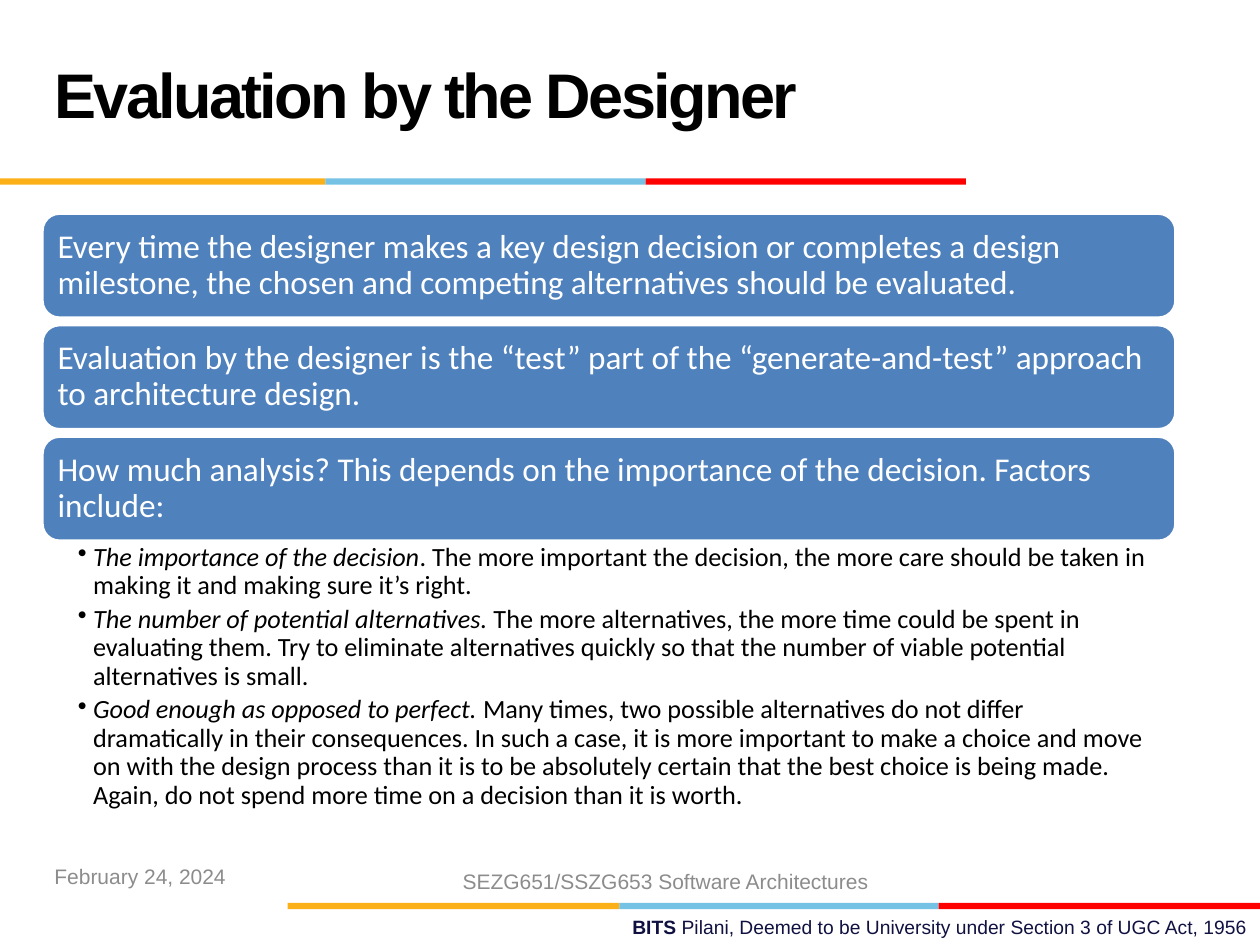
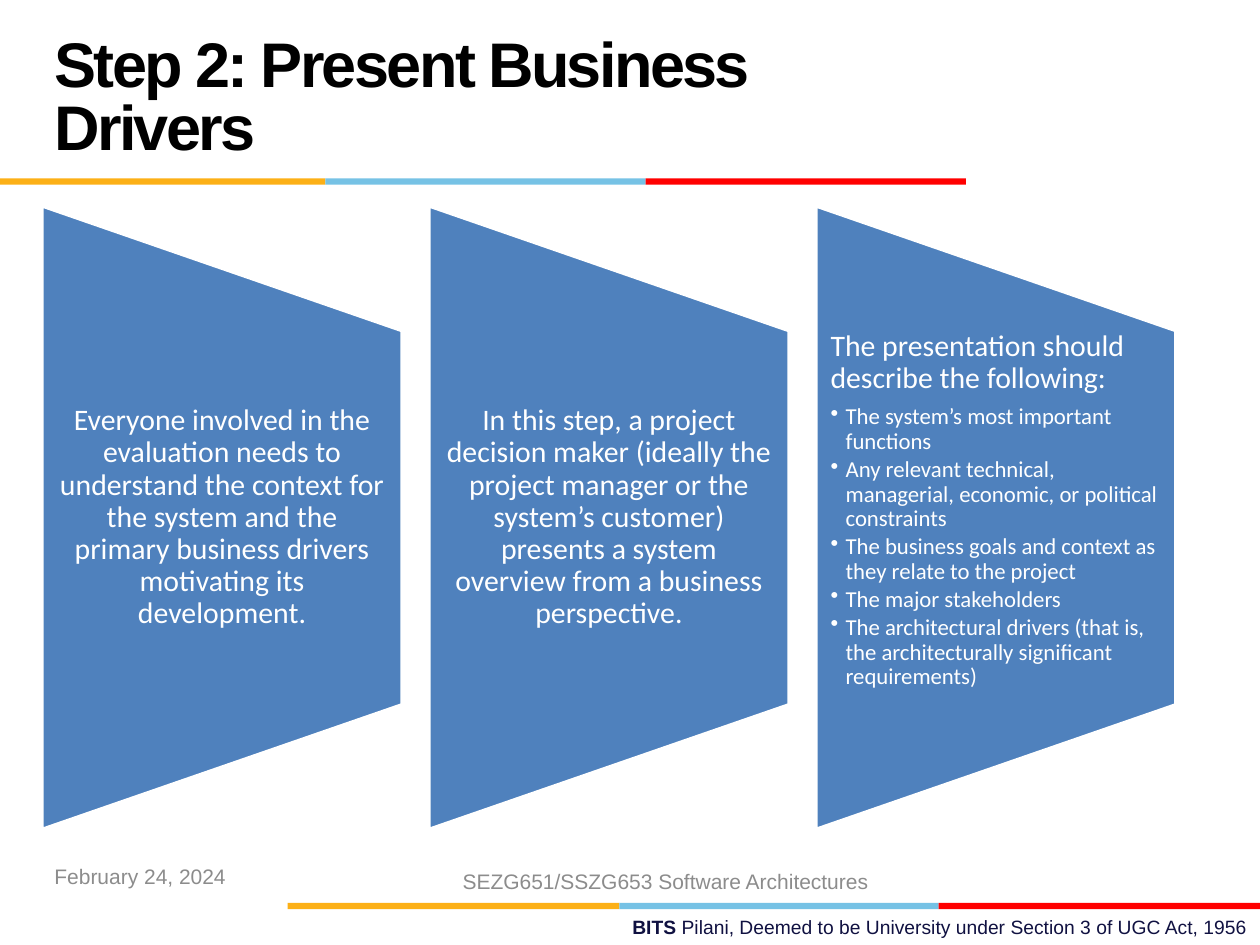
from dataclasses import dataclass

from lxml import etree
from pptx import Presentation
from pptx.dml.color import RGBColor
from pptx.enum.shapes import MSO_SHAPE
from pptx.enum.text import MSO_ANCHOR, PP_ALIGN
from pptx.oxml.ns import qn
from pptx.util import Inches, Pt

RECTANGLE = MSO_SHAPE.RECTANGLE
ROUNDED = MSO_SHAPE.ROUNDED_RECTANGLE
TRAPEZOID = MSO_SHAPE.FLOWCHART_MANUAL_OPERATION
TOP, MIDDLE = MSO_ANCHOR.TOP, MSO_ANCHOR.MIDDLE
LEFT, CENTER, RIGHT = PP_ALIGN.LEFT, PP_ALIGN.CENTER, PP_ALIGN.RIGHT

COLUMNS, ROWS = 120, 90
MARGIN = 4
CONTENT_WIDTH = 108


@dataclass(frozen=True)
class Theme:
    """Colours, fonts and type sizes of the presentation."""

    amber: str = "FCB017"
    sky: str = "76C2E5"
    red: str = "FF0000"
    panel: str = "4F81BD"
    white: str = "FFFFFF"
    black: str = "000000"
    grey: str = "8C8C8C"
    navy: str = "101141"
    heading_font: str = "Arial"
    body_font: str = "Calibri"
    title_size: int = 36
    card_size: int = 19
    panel_size: int = 17
    factor_size: int = 15
    item_size: int = 13
    date_size: int = 12
    footer_size: int = 11


@dataclass(frozen=True)
class TextStyle:
    """Look of one paragraph."""

    size: int
    color: str
    font: str = Theme.body_font
    align: PP_ALIGN = LEFT
    leading: object = None
    space_after: float = 0
    bullet: bool = False
    bold: bool = False
    tracking: int = 0


class Deck:
    """Draws styled elements on the current slide."""

    def __init__(self, theme):
        """Open a presentation of 10 by 7.5 inches."""
        self.theme = theme
        self.presentation = Presentation()
        self.presentation.slide_width = Inches(10)
        self.presentation.slide_height = Inches(7.5)
        self.slide = None

    def columns(self, count):
        """Convert grid columns to a length."""
        return round(self.presentation.slide_width * count / COLUMNS)

    def rows(self, count):
        """Convert grid rows to a length."""
        return round(self.presentation.slide_height * count / ROWS)

    def frame(self, column, row, width, height):
        """Convert a grid area to slide lengths."""
        return (self.columns(column), self.rows(row),
                self.columns(width), self.rows(height))

    def shape(self, kind, area, color, outlined=False):
        """Add a flat preset shape."""
        shape = self.slide.shapes.add_shape(kind, *self.frame(*area))
        shape.shadow.inherit = False
        shape.fill.solid()
        shape.fill.fore_color.rgb = RGBColor.from_string(color)
        if outlined:
            shape.line.color.rgb = RGBColor.from_string(self.theme.white)
            shape.line.width = Pt(2)
        else:
            shape.line.fill.background()
        return shape

    def fill_text(self, shape, paragraphs, insets=(1.2, 0.6, 1.2, 0.6), anchor=MIDDLE):
        """Fill a shape with pairs of style and runs."""
        frame = shape.text_frame
        frame.word_wrap = True
        frame.vertical_anchor = anchor
        (frame.margin_left, frame.margin_top,
         frame.margin_right, frame.margin_bottom) = map(self.columns, insets)
        for index, (style, runs) in enumerate(paragraphs):
            paragraph = frame.add_paragraph() if index else frame.paragraphs[0]
            self.style_paragraph(paragraph, style)
            for text, emphasis in runs:
                self.add_run(paragraph, text, style, emphasis)

    def style_paragraph(self, paragraph, style):
        """Apply bullet, alignment and spacing."""
        if style.bullet:
            properties = paragraph._p.get_or_add_pPr()
            indent = Inches(0.12)
            properties.set("marL", str(indent))
            properties.set("indent", str(-indent))
            properties.set("lvl", "1")
            etree.SubElement(properties, qn("a:buChar")).set("char", "•")
        paragraph.alignment = style.align
        if style.leading:
            paragraph.line_spacing = style.leading
        if style.space_after:
            paragraph.space_after = Pt(style.size * style.space_after)

    def add_run(self, paragraph, text, style, emphasis):
        """Add one run, with optional bold or italic emphasis."""
        run = paragraph.add_run()
        run.text = text
        run.font.name = style.font
        run.font.size = Pt(style.size)
        run.font.color.rgb = RGBColor.from_string(style.color)
        run.font.bold = style.bold or emphasis == "bold"
        run.font.italic = emphasis == "italic"
        if style.tracking:
            run._r.get_or_add_rPr().set("spc", str(style.tracking))

    def text(self, area, paragraphs, **layout):
        """Add a text box."""
        box = self.slide.shapes.add_textbox(*self.frame(*area))
        self.fill_text(box, paragraphs, **layout)

    def stripe(self, row, edges):
        """Add a three-colour stripe between column edges."""
        colors = (self.theme.amber, self.theme.sky, self.theme.red)
        for color, start, end in zip(colors, edges, edges[1:]):
            self.shape(RECTANGLE, (start, row, end - start, 0.6), color)

    def card(self, area, text):
        """Add a rounded card with a statement."""
        style = TextStyle(self.theme.card_size, self.theme.white, leading=0.9)
        card = self.shape(ROUNDED, area, self.theme.panel, outlined=True)
        self.fill_text(card, [(style, [(text, None)])], insets=(1, 1, 1, 1))

    def panel(self, area, paragraphs, anchor):
        """Add a trapezoid narrowing to the right, with text over its middle."""
        column, row, width, height = area
        turned = (column + (width - height) / 2, row + (height - width) / 2,
                  height, width)
        self.shape(TRAPEZOID, turned, self.theme.panel, outlined=True).rotation = 270
        self.text((column, row + height / 5, width, height * 3 / 5), paragraphs,
                  insets=(1.4, 0, 1.4, 0), anchor=anchor)

    def new_slide(self, title):
        """Start a slide with title, stripes and footer."""
        theme = self.theme
        blank = self.presentation.slide_layouts[6]
        self.slide = self.presentation.slides.add_slide(blank)
        heading = TextStyle(theme.title_size, theme.black, theme.heading_font,
                            leading=Pt(theme.title_size), bold=True, tracking=-150)
        date = TextStyle(theme.date_size, theme.grey, theme.heading_font)
        course = TextStyle(theme.date_size, theme.grey, theme.heading_font, CENTER)
        footer = TextStyle(theme.footer_size, theme.navy, theme.heading_font, RIGHT)
        self.stripe(17, (0, 31, 61.5, 92))
        self.stripe(86, (27.4, 59, 89.4, COLUMNS))
        self.text((43, 86.5, 77, 3.5), [(footer, [
            ("BITS ", "bold"),
            ("Pilani, Deemed to be University under Section 3 of UGC Act, 1956", None),
        ])])
        self.text((MARGIN, 2, 83, 15), [(heading, [(title, None)])])
        self.text((MARGIN, 81, 28, 4.8), [(date, [("February 24, 2024", None)])])
        self.text((41.8, 81.5, 43.2, 4.8),
                  [(course, [("SEZG651/SSZG653 Software Architectures", None)])])


STATEMENTS = (
    "Every time the designer makes a key design decision or completes a design "
    "milestone, the chosen and competing alternatives should be evaluated.",
    "Evaluation by the designer is the “test” part of the “generate-and-test” "
    "approach to architecture design.",
    "How much analysis? This depends on the importance of the decision. "
    "Factors include:",
)
FACTORS = (
    ("The importance of the decision",
     ". The more important the decision, the more care should be taken in making it "
     "and making sure it’s right."),
    ("The number of potential alternatives.",
     " The more alternatives, the more time could be spent in evaluating them. Try to "
     "eliminate alternatives quickly so that the number of viable potential "
     "alternatives is small."),
    ("Good enough as opposed to perfect.",
     " Many times, two possible alternatives do not differ dramatically in their "
     "consequences. In such a case, it is more important to make a choice and move on "
     "with the design process than it is to be absolutely certain that the best choice "
     "is being made. Again, do not spend more time on a decision than it is worth."),
)
EXPLANATIONS = (
    "Everyone involved in the evaluation needs to understand the context for the "
    "system and the primary business drivers motivating its development.",
    "In this step, a project decision maker (ideally the project manager or the "
    "system’s customer) presents a system overview from a business perspective.",
)
TOPICS = (
    "The system’s most important functions",
    "Any relevant technical, managerial, economic, or political constraints",
    "The business goals and context as they relate to the project",
    "The major stakeholders",
    "The architectural drivers (that is, the architecturally significant requirements)",
)


def add_designer_slide(deck):
    """Build the slide on evaluation by the designer."""
    deck.new_slide("Evaluation by the Designer")
    for index, statement in enumerate(STATEMENTS):
        deck.card((MARGIN, 20.3 + 10.62 * index, CONTENT_WIDTH, 10), statement)
    style = TextStyle(deck.theme.factor_size, deck.theme.black, leading=0.9,
                      space_after=0.2, bullet=True)
    factors = [(style, [(name, "italic"), (detail, None)]) for name, detail in FACTORS]
    deck.text((MARGIN, 51.5, CONTENT_WIDTH, 26.9), factors,
              insets=(3.43, 0.3, 1.8, 0.3), anchor=TOP)


def add_drivers_slide(deck):
    """Build the slide on presenting business drivers."""
    theme = deck.theme
    deck.new_slide("Step 2: Present Business Drivers")
    centred = TextStyle(theme.panel_size, theme.white, align=CENTER, leading=0.9)
    lead = TextStyle(theme.panel_size, theme.white, leading=0.9, space_after=0.35)
    item = TextStyle(theme.item_size, theme.white, leading=0.9, space_after=0.15,
                     bullet=True)
    panels = [([(centred, [(text, None)])], MIDDLE) for text in EXPLANATIONS]
    topics = [(item, [(topic, None)]) for topic in TOPICS]
    intro = (lead, [("The presentation should describe the following:", None)])
    panels.append(([intro, *topics], TOP))
    width = 34.3
    pitch = (CONTENT_WIDTH - width) / (len(panels) - 1)
    for index, (paragraphs, anchor) in enumerate(panels):
        deck.panel((MARGIN + pitch * index, 19.6, width, 59.4), paragraphs, anchor)


def main():
    """Build and save the presentation."""
    deck = Deck(Theme())
    add_designer_slide(deck)
    add_drivers_slide(deck)
    deck.presentation.save("out.pptx")


if __name__ == "__main__":
    main()
